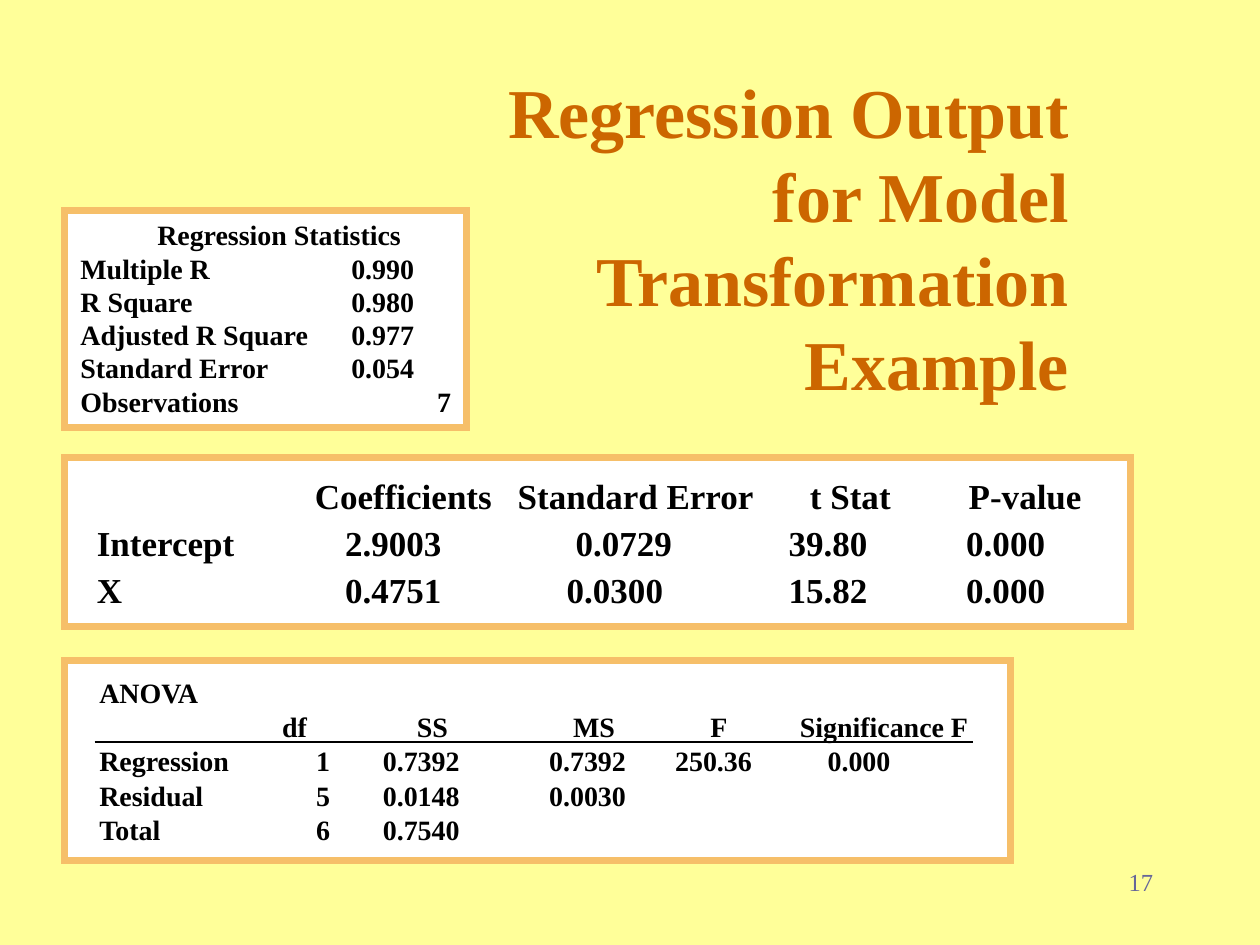
from dataclasses import dataclass

from lxml import etree
from pptx import Presentation
from pptx import util as u
from pptx.dml.color import RGBColor
from pptx.enum import shapes, text
from pptx.oxml import ns


@dataclass(frozen=True)
class Theme:
    font: str = "Times New Roman"
    background: str = "FFFF99"
    title: str = "CC6600"
    ink: str = "000000"
    panel: str = "FFFFFF"
    border: str = "F6BF69"
    number: str = "666699"
    title_size: int = 40
    title_leading: int = 48
    large_size: int = 20
    body_size: int = 16
    number_size: int = 14


THEME = Theme()


def colour(code):
    return RGBColor.from_string(code)


def add_text(parent, words, box, size=THEME.body_size, ink=THEME.ink, bold=True,
             wrap=False, align=text.PP_ALIGN.LEFT, anchor=text.MSO_ANCHOR.TOP,
             leading=None):
    """Place one paragraph in box, given as left, top, width, height in inches."""
    shape = parent.add_textbox(*map(u.Inches, box))
    frame = shape.text_frame
    frame.word_wrap = wrap
    frame.vertical_anchor = anchor
    if not wrap:
        frame.auto_size = text.MSO_AUTO_SIZE.SHAPE_TO_FIT_TEXT
        frame.margin_right = 0  # spare room keeps tight cells on one line
    para = frame.paragraphs[0]
    para.alignment = align
    if leading:
        para.line_spacing = u.Pt(leading)
    span = para.add_run()
    span.text = words
    span.font.name = THEME.font
    span.font.size = u.Pt(size)
    span.font.bold = bold
    span.font.color.rgb = colour(ink)


def add_panel(page, box):
    """Start a group with a square-cornered bordered panel and return its shapes."""
    parts = page.shapes.add_group_shape().shapes
    panel = parts.add_shape(shapes.MSO_SHAPE.RECTANGLE, *map(u.Inches, box))
    panel.shadow.inherit = False
    panel.fill.solid()
    panel.fill.fore_color.rgb = colour(THEME.panel)
    panel.line.color.rgb = colour(THEME.border)
    panel.line.width = u.Pt(4)
    outline = panel._element.spPr.find(ns.qn("a:ln"))
    etree.SubElement(outline, ns.qn("a:miter"), lim="800000")
    return parts


def add_rows(parts, box, rows, first, last, height, size=THEME.body_size):
    """Spread rows of (words, left, width) cells evenly from first to last top."""
    pitch = (last - first) / (len(rows) - 1)
    for index, row in enumerate(rows):
        top = box[1] + first + index * pitch
        for words, left, width in row:
            add_text(parts, words, (box[0] + left, top, width, height), size=size)


def add_rule(parts, left, right, top):
    rule = parts.add_connector(
        shapes.MSO_CONNECTOR.STRAIGHT,
        u.Inches(left), u.Inches(top), u.Inches(right), u.Inches(top))
    rule.line.color.rgb = colour(THEME.ink)
    rule.line.width = u.Pt(1)
    etree.SubElement(rule._element.spPr, ns.qn("a:effectLst"))


def regression_statistics(page, box):
    label, value = 0.03, (2.18, 0.7)
    rows = [
        [("Regression Statistics", 0.64, 2.14)],
        [("Multiple R", label, 1.23), ("0.990", *value)],
        [("R Square", label, 1.09), ("0.980", *value)],
        [("Adjusted R Square", label, 2.01), ("0.977", *value)],
        [("Standard Error", label, 1.69), ("0.054", *value)],
        [("Observations", label, 1.45), ("7", 2.86, 0.31)],
    ]
    add_rows(add_panel(page, box), box, rows, first=0.01, last=1.33, height=0.36)


def coefficients(page, box):
    label, estimate, t_stat, p_value = 0.16, (2.13, 0.96), (5.65, 0.82), (7.06, 0.82)
    rows = [
        [("Coefficients", 1.89, 1.61), ("Standard Error", 3.5, 2.08),
         ("t Stat", 5.82, 0.84), ("P-value", 7.08, 1.1)],
        [("Intercept", label, 1.3), ("2.9003", *estimate), ("0.0729", 3.96, 0.96),
         ("39.80", *t_stat), ("0.000", *p_value)],
        [("X", label, 0.4), ("0.4751", *estimate), (" 0.0300", 3.82, 1.03),
         ("15.82", *t_stat), ("0.000", *p_value)],
    ]
    add_rows(add_panel(page, box), box, rows, first=0.09, last=0.83, height=0.43,
             size=THEME.large_size)


def anova(page, box):
    label, df, ss, ms = 0.18, (1.9, 0.31), (2.43, 0.81), (3.75, 0.81)
    rows = [
        [("ANOVA", label, 1.01)],
        [("df", 1.63, 0.4), ("SS", 2.7, 0.44), ("MS", 3.94, 0.53),
         ("F", 5.03, 0.33), ("Significance F", 5.74, 1.53)],
        [("Regression", label, 1.23), ("1", *df), ("0.7392", *ss), ("0.7392", *ms),
         ("250.36", 4.75, 0.81), ("0.000", 5.96, 0.7)],
        [("Residual", label, 1.02), ("5", *df), ("0.0148", *ss), ("0.0030", *ms)],
        [("Total", label, 0.7), ("6", *df), ("0.7540", *ss)],
    ]
    parts = add_panel(page, box)
    add_rule(parts, box[0] + 0.24, box[0] + 7.21, box[1] + 0.65)
    add_rows(parts, box, rows, first=0.07, last=1.16, height=0.36)


def title(page, box):
    add_text(page.shapes, "Regression Output for Model Transformation Example", box,
             size=THEME.title_size, ink=THEME.title, wrap=True,
             align=text.PP_ALIGN.RIGHT, anchor=text.MSO_ANCHOR.MIDDLE,
             leading=THEME.title_leading)


def page_number(page, box):
    add_text(page.shapes, "17", box, size=THEME.number_size, ink=THEME.number,
             bold=False, wrap=True, align=text.PP_ALIGN.RIGHT)


def main():
    deck = Presentation()
    deck.slide_width, deck.slide_height = u.Inches(10), u.Inches(7.5)
    page = deck.slides.add_slide(deck.slide_layouts[6])
    page.background.fill.solid()
    page.background.fill.fore_color.rgb = colour(THEME.background)

    title(page, (3.91, 0.59, 4.67, 2.58))
    regression_statistics(page, (0.51, 1.67, 3.19, 1.72))
    coefficients(page, (0.51, 3.63, 8.46, 1.34))
    anova(page, (0.51, 5.24, 7.51, 1.59))
    page_number(page, (8.42, 6.83, 0.83, 0.5))
    deck.save("out.pptx")


if __name__ == "__main__":
    main()
